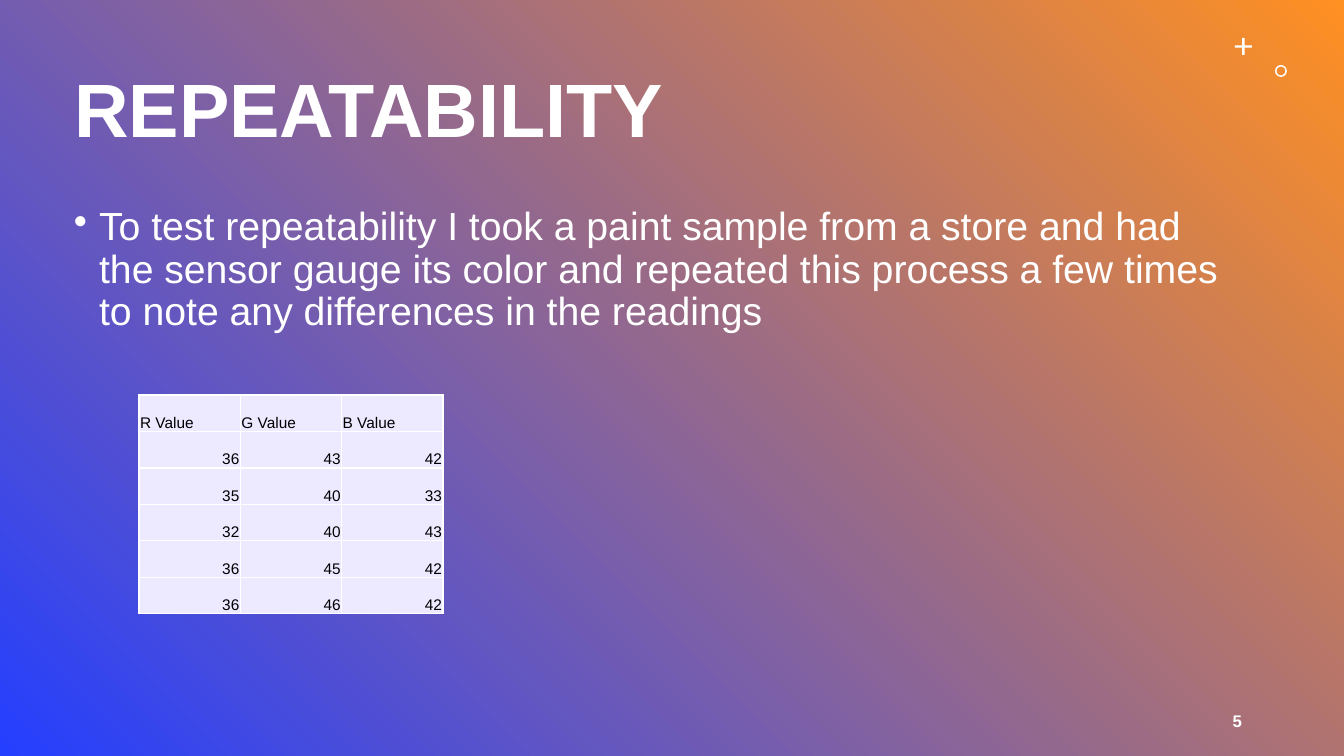
import pptx
import pptx.dml.color
import pptx.enum.shapes
import pptx.enum.text
import pptx.oxml
import pptx.oxml.ns
import pptx.util

EMU_PER_PX = 914400 / 100.8
COLORS = {
    "blue": "243FFF",
    "orange": "FF9022",
    "white": "FFFFFF",
    "black": "000000",
    "lavender": "EDE9FF",
}
READINGS = [
    ("R Value", "G Value", "B Value"),
    (36, 43, 42),
    (35, 40, 33),
    (32, 40, 43),
    (36, 45, 42),
    (36, 46, 42),
]
ALIGN = pptx.enum.text.PP_ALIGN
ANCHOR = pptx.enum.text.MSO_ANCHOR
SHAPE = pptx.enum.shapes.MSO_SHAPE


def px(length):
    return pptx.util.Emu(round(length * EMU_PER_PX))


def color(name):
    return pptx.dml.color.RGBColor.from_string(COLORS[name])


def write(frame, text, size, ink="white", bold=False, align=ALIGN.LEFT,
          anchor=ANCHOR.TOP, line_spacing=None, space_before=0, tracking=0):
    """Fill a text frame with one formatted paragraph and return the paragraph."""
    frame.word_wrap = True
    frame.vertical_anchor = anchor
    paragraph = frame.paragraphs[0]
    paragraph.alignment = align
    paragraph.line_spacing = line_spacing
    paragraph.space_before = pptx.util.Pt(space_before)
    run = paragraph.add_run()
    run.text = text
    run.font.name = "Arial"
    run.font.size = pptx.util.Pt(size)
    run.font.bold = bold
    run.font.color.rgb = color(ink)
    if tracking:
        run.font._element.set("spc", str(tracking * 100))
    return paragraph


def paint_background(slide):
    fill = slide.background.fill
    fill.gradient()
    fill.gradient_angle = 45
    for stop, position, name in zip(fill.gradient_stops, (0, 1), ("blue", "orange")):
        stop.position = position
        stop.color.rgb = color(name)


def add_corner_marks(slide, left, top):
    marks = [
        (SHAPE.CROSS, 0, 0, 17, 0.43),
        (SHAPE.DONUT, 40, 27, 12, 0.13),
    ]
    for preset, dx, dy, size, adjustment in marks:
        mark = slide.shapes.add_shape(
            preset, px(left + dx), px(top + dy), px(size), px(size))
        mark.adjustments[0] = adjustment
        mark.shadow.inherit = False
        mark.fill.solid()
        mark.fill.fore_color.rgb = color("white")
        mark.line.fill.background()


def place_title(slide, left, top, width, height):
    title = slide.shapes.title
    title.left, title.top = px(left), px(top)
    title.width, title.height = px(width), px(height)
    title.text_frame.auto_size = pptx.enum.text.MSO_AUTO_SIZE.NONE
    write(title.text_frame, "REPEATABILITY", 54, bold=True,
          anchor=ANCHOR.MIDDLE, line_spacing=0.9)


def add_method(slide, left, top, width, height):
    method = slide.shapes.add_textbox(px(left), px(top), px(width), px(height))
    paragraph = write(
        method.text_frame,
        "To test repeatability I took a paint sample from a store and had the sensor "
        "gauge its color and repeated this process a few times to note any "
        "differences in the readings",
        28, line_spacing=0.9, space_before=10)
    properties = paragraph._p.get_or_add_pPr()
    indent = pptx.util.Inches(0.25)
    properties.set("marL", str(indent))
    properties.set("indent", str(-indent))
    properties.append(pptx.oxml.parse_xml(
        f'<a:buChar {pptx.oxml.ns.nsdecls("a")} char="•"/>'))


def border_cell(cell):
    properties = cell._tc.get_or_add_tcPr()
    for index, side in enumerate("LRTB"):
        properties.insert(index, pptx.oxml.parse_xml(
            f'<a:ln{side} {pptx.oxml.ns.nsdecls("a")} w="{pptx.util.Pt(1)}">'
            f'<a:solidFill><a:srgbClr val="{COLORS["white"]}"/></a:solidFill>'
            f'</a:ln{side}>'))


def add_readings(slide, left, top, width, height):
    row_count, column_count = len(READINGS), len(READINGS[0])
    table = slide.shapes.add_table(
        row_count, column_count, px(left), px(top), px(width), px(height)).table
    for column in table.columns:
        column.width = px(width / column_count)
    for row, values in zip(table.rows, READINGS):
        row.height = px(height / row_count)
        for cell, value in zip(row.cells, values):
            cell.margin_left = cell.margin_right = cell.margin_top = px(1)
            cell.margin_bottom = 0
            cell.fill.solid()
            cell.fill.fore_color.rgb = color("lavender")
            border_cell(cell)
            write(cell.text_frame, str(value), 11, ink="black",
                  align=ALIGN.LEFT if isinstance(value, str) else ALIGN.RIGHT)
            cell.vertical_anchor = ANCHOR.BOTTOM


def add_page_number(slide, left, top, width, height):
    number = slide.shapes.add_textbox(px(left), px(top), px(width), px(height))
    write(number.text_frame, "5", 12, bold=True, align=ALIGN.RIGHT,
          anchor=ANCHOR.MIDDLE, tracking=1)


def main():
    deck = pptx.Presentation()
    deck.slide_width, deck.slide_height = px(1344), px(756)
    slide = deck.slides.add_slide(deck.slide_layouts[5])
    paint_background(slide)
    add_corner_marks(slide, 1235, 38)
    place_title(slide, 64, 40, 1187, 146)
    add_method(slide, 64, 202, 1187, 480)
    add_page_number(slide, 950, 701, 302, 40)
    add_readings(slide, 139, 395, 304, 219)
    deck.save("out.pptx")


if __name__ == "__main__":
    main()
